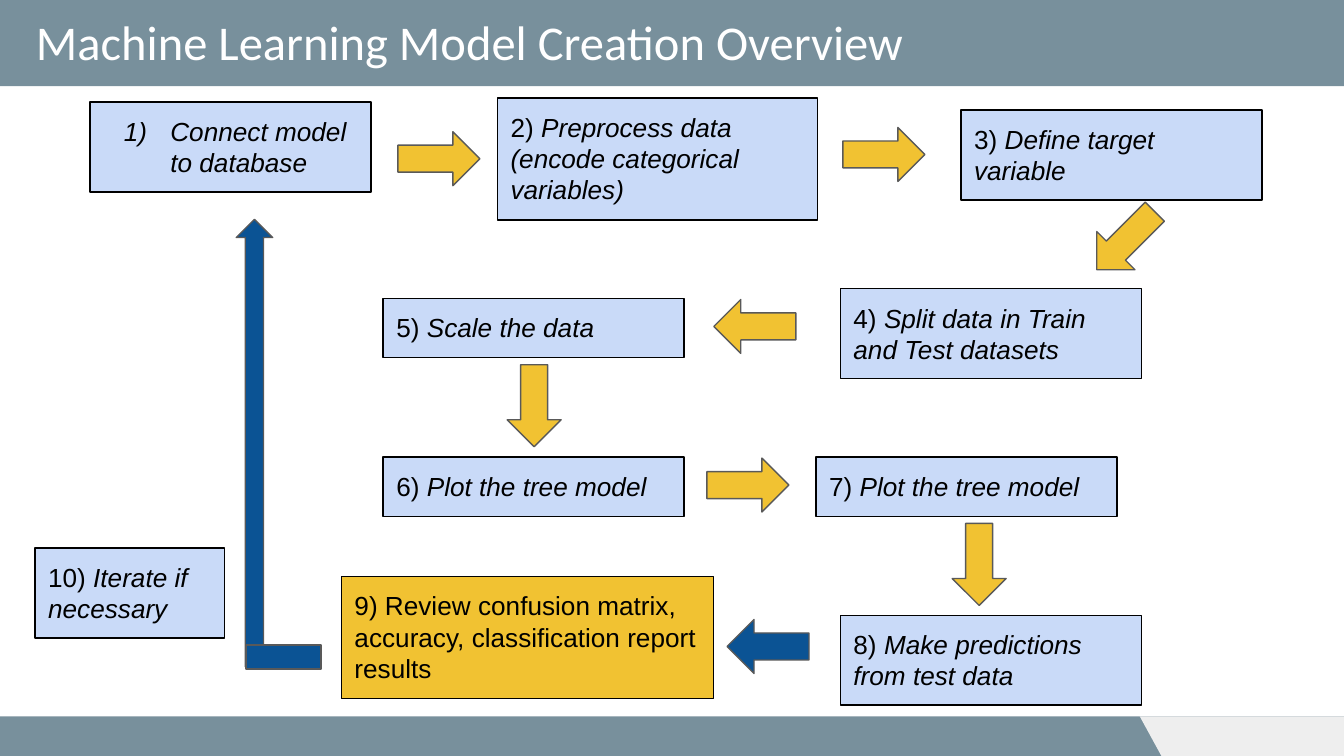
"""Build the machine learning model creation overview slide."""
from dataclasses import dataclass

import pptx
import pptx.dml.color
import pptx.enum.shapes
import pptx.enum.text
import pptx.oxml
import pptx.oxml.ns
import pptx.util
from pptx.util import Cm

COLORS = {
    "band": "78909C", "corner": "EEEEEE", "step": "C9DAF8", "yellow": "F1C232",
    "blue": "0B5394", "outline": "595959", "black": "000000", "white": "FFFFFF",
}
SHAPES = pptx.enum.shapes.MSO_SHAPE
SLIDE_WIDTH, SLIDE_HEIGHT = 25.4, 14.29
BAND_HEIGHT, FOOTER_TOP = 1.63, 13.54
HEIGHT_BY_LINES = {1: 1.12, 2: 1.7, 3: 2.31}
FRAME_FORMAT = {
    "margin_left": Cm(0.25), "margin_top": Cm(0.25),
    "margin_right": Cm(0.25), "margin_bottom": Cm(0.25),
    "word_wrap": True,
    "vertical_anchor": pptx.enum.text.MSO_ANCHOR.TOP,
    "auto_size": pptx.enum.text.MSO_AUTO_SIZE.SHAPE_TO_FIT_TEXT,
}
STEP_FONT = {"name": "Arial", "size": pptx.util.Pt(14)}
TITLE_FONT = {"name": "Calibri", "size": pptx.util.Pt(26)}


@dataclass
class Step:
    left: float
    top: float
    lines: int
    label: str
    text: str = ""
    width: float = 5.69
    color: str = "step"
    numbered: bool = False


@dataclass
class Arrow:
    left: float
    top: float
    rotation: int = 0
    color: str = "yellow"
    width: float = 1.55
    height: float = 1.02


STEPS = [
    Step(1.7, 1.93, 2, "", "Connect model to database", 5.31, numbered=True),
    Step(9.4, 1.85, 3, "2) ", "Preprocess data (encode categorical variables)", 6.05),
    Step(18.16, 2.08, 2, "3) ", "Define target variable"),
    Step(15.88, 5.46, 2, "4) ", "Split data in Train and Test datasets"),
    Step(7.24, 5.64, 1, "5) ", "Scale the data"),
    Step(7.24, 8.64, 1, "6) ", "Plot the tree model"),
    Step(15.42, 8.64, 1, "7) ", "Plot the tree model"),
    Step(15.88, 11.63, 2, "8) ", "Make predictions from test data"),
    Step(6.45, 10.9, 3,
         "9) Review confusion matrix, accuracy, classification report results",
         width=7.04, color="yellow"),
    Step(0.66, 10.36, 2, "10) ", "Iterate if necessary", 3.58),
]
ARROWS = [
    Arrow(7.52, 2.49),
    Arrow(15.93, 2.41),
    Arrow(20.5, 4.04, 135),
    Arrow(13.49, 5.66, 180),
    Arrow(9.32, 7.16, 90),
    Arrow(13.36, 8.66),
    Arrow(17.73, 10.16, 90),
    Arrow(13.74, 11.71, 180, "blue"),
    Arrow(0.58, 8.03, 270, "blue", 8.46, 0.69),
]


def rgb(color: str) -> pptx.dml.color.RGBColor:
    return pptx.dml.color.RGBColor.from_string(COLORS[color])


def apply_format(target, values: dict) -> None:
    for name, value in values.items():
        setattr(target, name, value)


def paint(shape, fill: str, line: str = "") -> None:
    shape.shadow.inherit = False
    shape.fill.solid()
    shape.fill.fore_color.rgb = rgb(fill)
    if line:
        shape.line.color.rgb = rgb(line)
        shape.line.width = pptx.util.Pt(0.75)
    else:
        shape.line.fill.background()


def add_block(slide, kind, left: float, top: float, width: float, height: float,
              fill: str, line: str = ""):
    shape = slide.shapes.add_shape(kind, Cm(left), Cm(top), Cm(width), Cm(height))
    paint(shape, fill, line)
    return shape


def add_run(paragraph, text: str, font: dict, color: str, italic: bool = False) -> None:
    run = paragraph.add_run()
    run.text = text
    apply_format(run.font, {**font, "italic": italic})
    run.font.color.rgb = rgb(color)


def add_numbering(paragraph) -> None:
    properties = paragraph._p.get_or_add_pPr()
    properties.set("marL", str(Cm(1.27)))
    properties.set("indent", str(Cm(-0.88)))
    namespace = pptx.oxml.ns.nsdecls("a")
    for markup in (
        f'<a:buClr {namespace}><a:srgbClr val="{COLORS["black"]}"/></a:buClr>',
        f'<a:buFont {namespace} typeface="Arial"/>',
        f'<a:buAutoNum {namespace} type="arabicParenR"/>',
    ):
        properties.append(pptx.oxml.parse_xml(markup))


def add_step(slide, step: Step) -> None:
    shape = add_block(slide, SHAPES.RECTANGLE, step.left, step.top, step.width,
                      HEIGHT_BY_LINES[step.lines], step.color, "black")
    apply_format(shape.text_frame, FRAME_FORMAT)
    paragraph = shape.text_frame.paragraphs[0]
    paragraph.alignment = pptx.enum.text.PP_ALIGN.LEFT
    if step.numbered:
        add_numbering(paragraph)
    if step.label:
        add_run(paragraph, step.label, STEP_FONT, "black")
    if step.text:
        add_run(paragraph, step.text, STEP_FONT, "black", italic=True)


def add_arrow(slide, arrow: Arrow) -> None:
    shape = add_block(slide, SHAPES.RIGHT_ARROW, arrow.left, arrow.top, arrow.width,
                      arrow.height, arrow.color, "outline")
    shape.rotation = arrow.rotation


def add_bands(slide) -> None:
    for top, height in ((0, BAND_HEIGHT), (FOOTER_TOP, SLIDE_HEIGHT - FOOTER_TOP)):
        add_block(slide, SHAPES.RECTANGLE, 0, top, SLIDE_WIDTH, height, "band")
    builder = slide.shapes.build_freeform(Cm(SLIDE_WIDTH), Cm(SLIDE_HEIGHT))
    builder.add_line_segments([
        (Cm(21.95), Cm(SLIDE_HEIGHT)),
        (Cm(21.54), Cm(FOOTER_TOP)),
        (Cm(SLIDE_WIDTH), Cm(FOOTER_TOP)),
    ])
    paint(builder.convert_to_shape(), "corner")


def add_title(slide, text: str) -> None:
    title = slide.shapes.title
    title.element.getparent().append(title.element)
    apply_format(title, {"left": Cm(0.43), "top": Cm(-0.03),
                         "width": Cm(21.67), "height": Cm(BAND_HEIGHT)})
    apply_format(title.text_frame, FRAME_FORMAT)
    paragraph = title.text_frame.paragraphs[0]
    paragraph.alignment = pptx.enum.text.PP_ALIGN.LEFT
    add_run(paragraph, text, TITLE_FONT, "white")


def main() -> None:
    presentation = pptx.Presentation()
    presentation.slide_width = Cm(SLIDE_WIDTH)
    presentation.slide_height = Cm(SLIDE_HEIGHT)
    slide = presentation.slides.add_slide(presentation.slide_layouts[5])
    add_bands(slide)
    add_title(slide, "Machine Learning Model Creation Overview")
    for step in STEPS:
        add_step(slide, step)
    for arrow in ARROWS:
        add_arrow(slide, arrow)
    add_block(slide, SHAPES.RECTANGLE, 4.65, 12.19, 1.42, 0.46, "blue", "outline")
    presentation.save("out.pptx")


if __name__ == "__main__":
    main()
